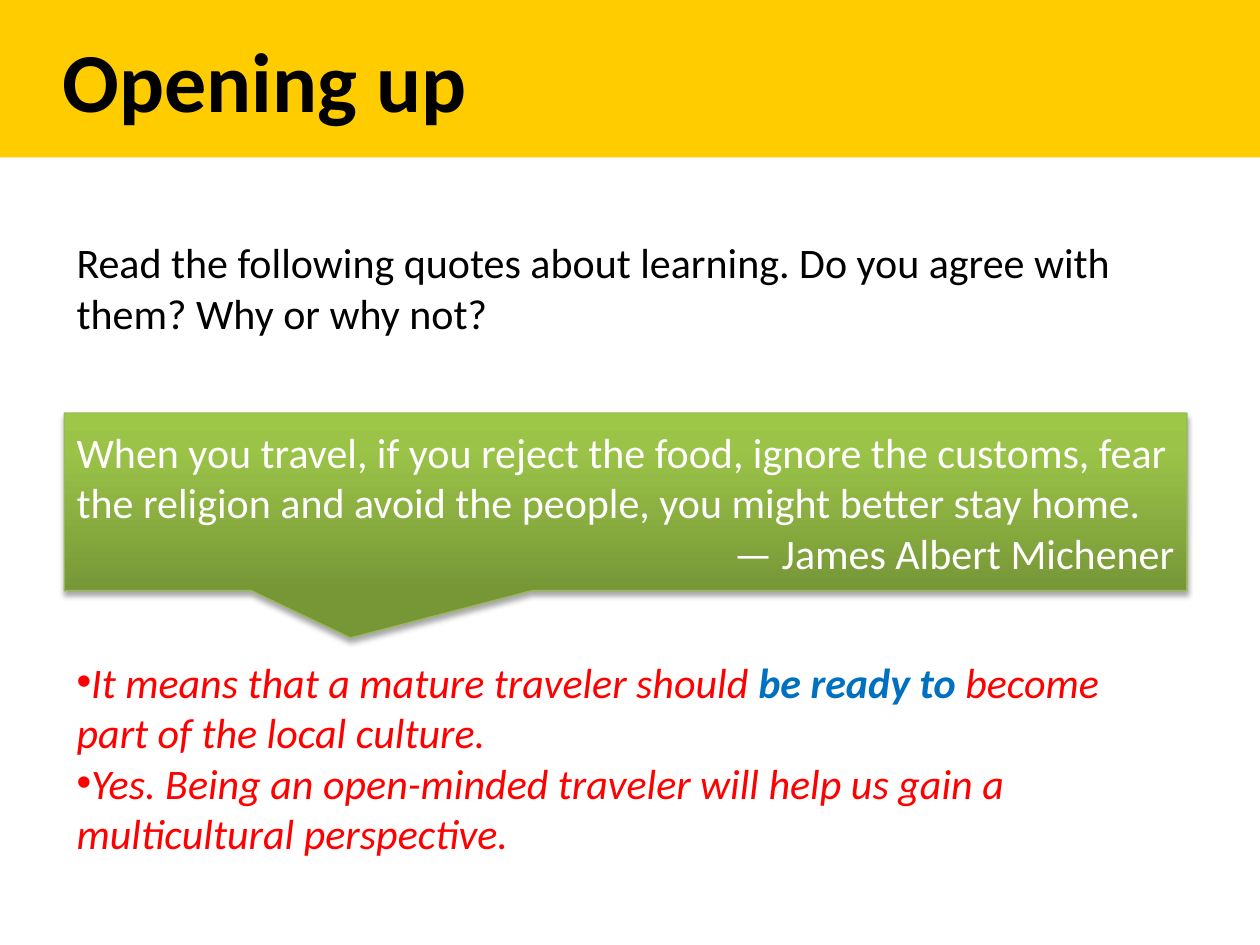
from copy import deepcopy
from dataclasses import dataclass, field

from lxml.etree import SubElement
from pptx import Presentation
from pptx.dml.color import RGBColor
from pptx.enum.shapes import MSO_SHAPE
from pptx.enum.text import MSO_ANCHOR, MSO_AUTO_SIZE, PP_ALIGN
from pptx.oxml.ns import qn
from pptx.util import Inches, Pt

BLACK = RGBColor(0x00, 0x00, 0x00)
WHITE = RGBColor(0xFF, 0xFF, 0xFF)
YELLOW = RGBColor(0xFF, 0xCC, 0x00)
RED = RGBColor(0xFF, 0x00, 0x00)
BLUE = RGBColor(0x00, 0x70, 0xC0)
GREEN_EDGE = RGBColor(0x98, 0xB9, 0x55)
GREEN_STOPS = (
    (0, RGBColor(0x77, 0x97, 0x37)),
    (0.8, RGBColor(0x9B, 0xC3, 0x48)),
    (1, RGBColor(0x9D, 0xC7, 0x46)),
)
WIDTH, HEIGHT = Inches(10), Inches(7.5)
LEFT = 0.051

TITLE = {"name": "Calibri", "size": Pt(48), "bold": True}
BODY = {"name": "Calibri", "size": Pt(24), "bold": False}
ANSWER = BODY | {"italic": True}
KEY_PHRASE = ANSWER | {"bold": True}


@dataclass(frozen=True)
class Area:
    """A rectangle in shares of the slide's width and height."""

    left: float
    top: float
    width: float
    height: float

    def lengths(self) -> tuple[int, int, int, int]:
        """Return the rectangle as slide lengths."""
        return (
            round(self.left * WIDTH),
            round(self.top * HEIGHT),
            round(self.width * WIDTH),
            round(self.height * HEIGHT),
        )


@dataclass(frozen=True)
class Passage:
    """A run of words with its colour and font format."""

    words: str
    color: RGBColor
    style: dict = field(default_factory=lambda: BODY)


@dataclass(frozen=True)
class Line:
    """A paragraph made of passages."""

    passages: tuple[Passage, ...]
    alignment: PP_ALIGN = PP_ALIGN.LEFT
    bullet: str = ""
    indent: float = 0


BANNER = (Line((Passage("Opening up", BLACK, TITLE),), indent=0.4),)
QUESTION = (
    Line((Passage("Read the following quotes about learning. Do you agree with them? Why or why not?", BLACK),)),
)
QUOTE = (
    Line((Passage(
        "When you travel, if you reject the food, ignore the customs, fear the religion "
        "and avoid the people, you might better stay home.", WHITE),)),
    Line((Passage("— James Albert Michener", WHITE),), PP_ALIGN.RIGHT),
)
ANSWERS = (
    Line((
        Passage("It means that a mature traveler should ", RED, ANSWER),
        Passage("be ready to ", BLUE, KEY_PHRASE),
        Passage("become part of the local culture.", RED, ANSWER),
    ), bullet="•"),
    Line((
        Passage("Yes. Being an open-minded traveler will help us gain a multicultural perspective.", RED, ANSWER),
    ), bullet="•"),
)


def write_lines(shape, lines: tuple[Line, ...], **frame_format) -> None:
    """Fill a shape with formatted paragraphs."""
    frame = shape.text_frame
    for name, value in ({"word_wrap": True} | frame_format).items():
        setattr(frame, name, value)
    for index, line in enumerate(lines):
        paragraph = frame.add_paragraph() if index else frame.paragraphs[0]
        paragraph.alignment = line.alignment
        properties = paragraph._p.get_or_add_pPr()
        properties.set("marL", "0")
        properties.set("indent", str(Inches(line.indent)))
        if line.bullet:
            SubElement(properties, qn("a:buFont"), typeface="Arial")
            SubElement(properties, qn("a:buChar"), char=line.bullet)
        for passage in line.passages:
            run = paragraph.add_run()
            run.text = passage.words
            run.font.color.rgb = passage.color
            for name, value in passage.style.items():
                setattr(run.font, name, value)


def add_text(slide, area: Area, lines: tuple[Line, ...]) -> None:
    """Add a wrapping text box that grows with its text."""
    shape = slide.shapes.add_textbox(*area.lengths())
    write_lines(shape, lines, auto_size=MSO_AUTO_SIZE.SHAPE_TO_FIT_TEXT)


def add_banner(slide, area: Area, lines: tuple[Line, ...]) -> None:
    """Add the flat title band."""
    shape = slide.shapes.add_shape(MSO_SHAPE.RECTANGLE, *area.lengths())
    shape.shadow.inherit = False
    shape.fill.solid()
    shape.fill.fore_color.rgb = YELLOW
    shape.line.fill.background()
    write_lines(shape, lines, vertical_anchor=MSO_ANCHOR.MIDDLE)


def add_callout(slide, area: Area, lines: tuple[Line, ...]) -> None:
    """Add the shaded quote callout with its soft shadow."""
    shape = slide.shapes.add_shape(MSO_SHAPE.RECTANGULAR_CALLOUT, *area.lengths())
    shape.adjustments[0], shape.adjustments[1] = -0.245, 0.766
    shape.fill.gradient()
    shape.fill.gradient_angle = 90
    stop_list = shape._element.spPr.find(".//" + qn("a:gsLst"))
    stop_list.append(deepcopy(stop_list[-1]))
    for stop, (position, color) in zip(shape.fill.gradient_stops, GREEN_STOPS):
        stop.position = position
        stop.color.rgb = color
    shape.line.color.rgb = GREEN_EDGE
    shape.line.width = Pt(0.75)
    shape.shadow.inherit = False
    effects = shape._element.spPr.find(qn("a:effectLst"))
    shadow = SubElement(
        effects, qn("a:outerShdw"), blurRad=str(Pt(3.1)), dist=str(Pt(1.8)), dir="5400000", rotWithShape="0"
    )
    shade = SubElement(shadow, qn("a:srgbClr"), val=str(BLACK))
    SubElement(shade, qn("a:alpha"), val="35000")
    write_lines(shape, lines, vertical_anchor=MSO_ANCHOR.MIDDLE)


def main() -> None:
    """Build and save the slide."""
    presentation = Presentation()
    presentation.slide_width, presentation.slide_height = WIDTH, HEIGHT
    slide = presentation.slides.add_slide(presentation.slide_layouts[6])
    add_banner(slide, Area(0, 0, 1, 1 / 6), BANNER)
    add_text(slide, Area(LEFT, 0.244, 0.897, 0.121), QUESTION)
    add_callout(slide, Area(LEFT, 0.437, 0.891, 0.188), QUOTE)
    add_text(slide, Area(LEFT, 0.688, 0.894, 0.229), ANSWERS)
    presentation.save("out.pptx")


if __name__ == "__main__":
    main()
